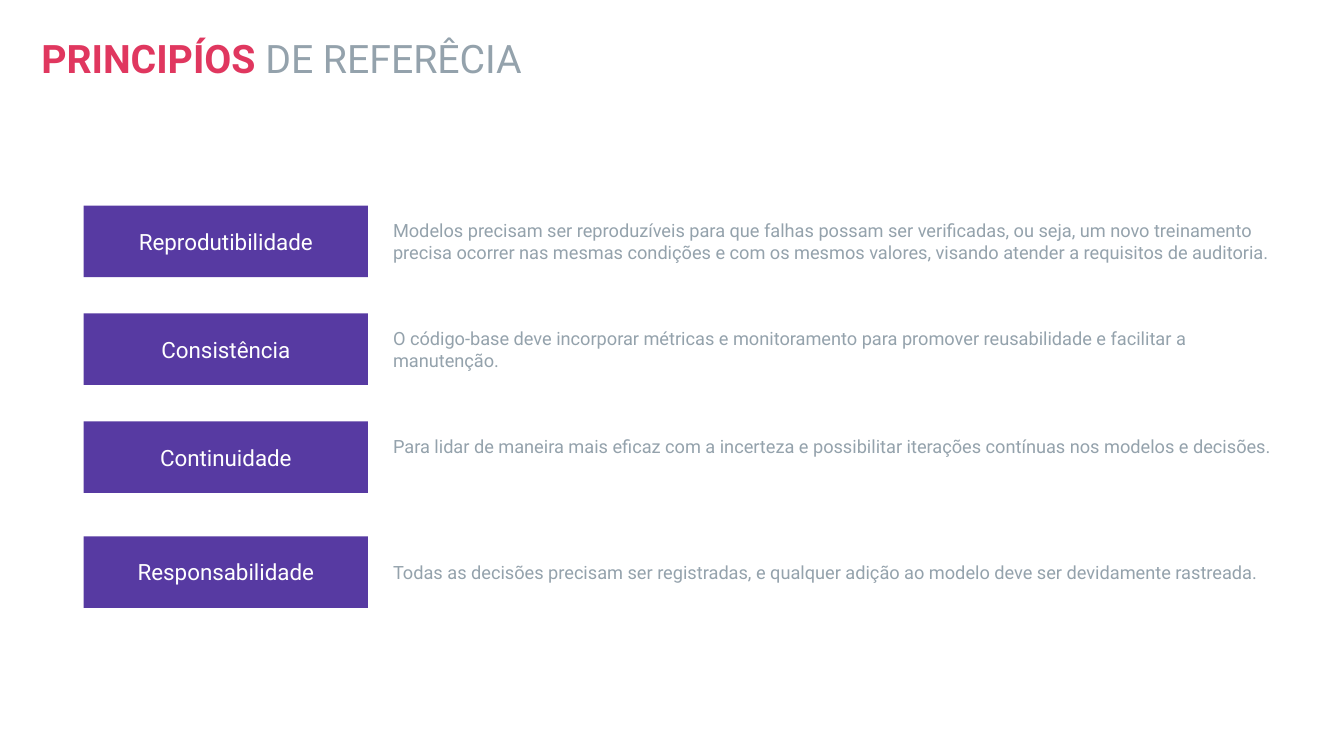
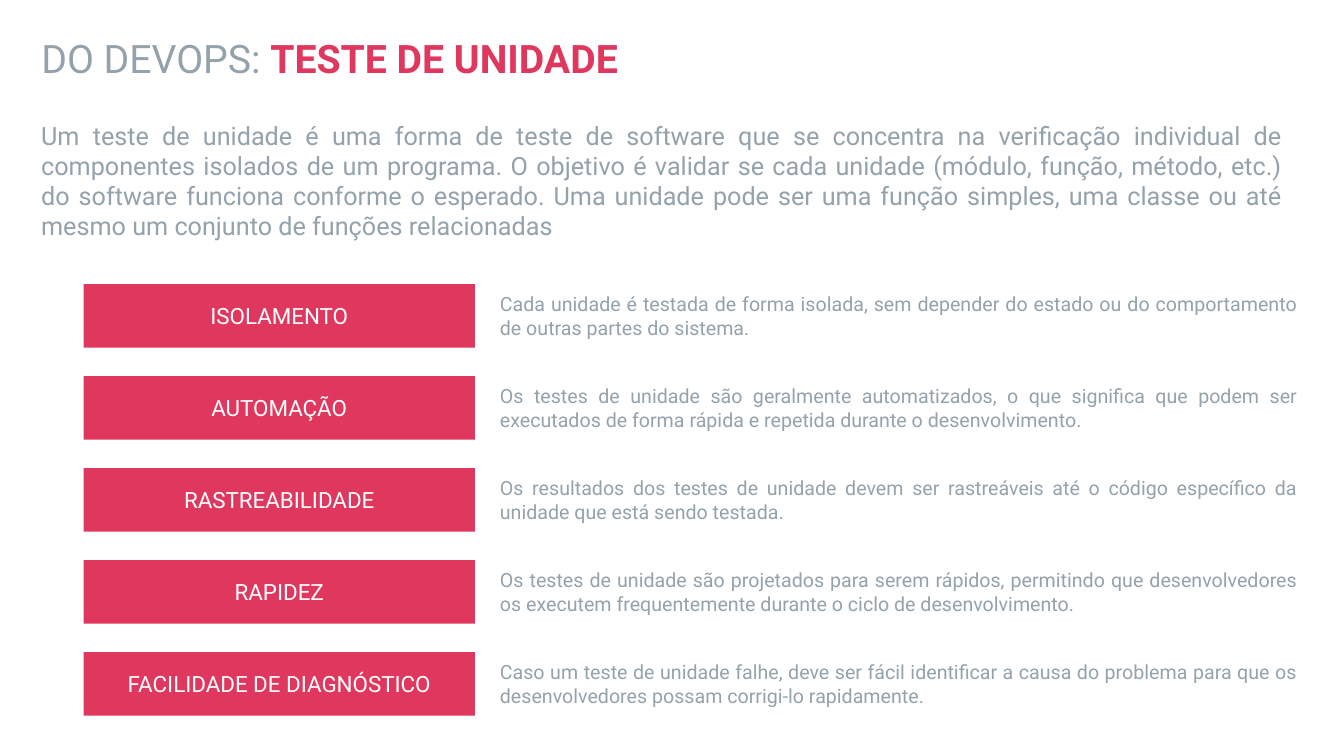
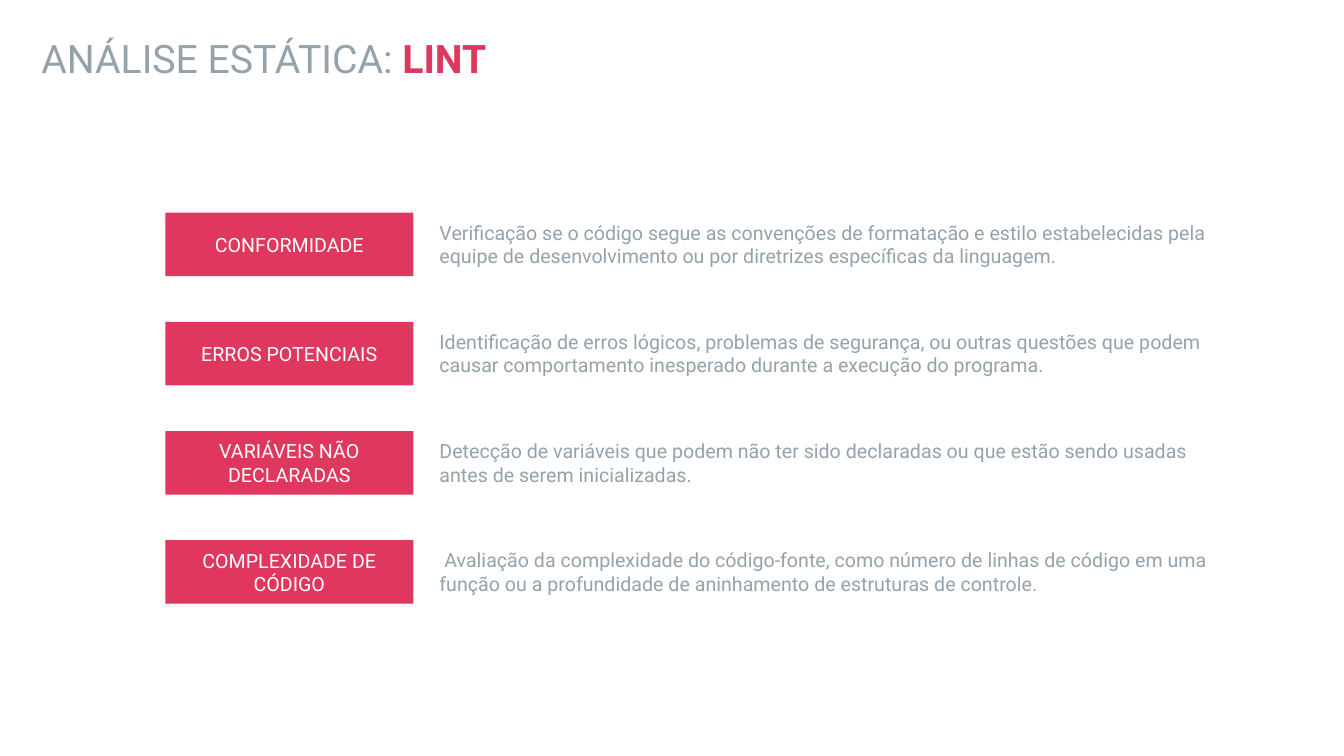
"""Build three slides on reference principles, unit testing and lint."""
from dataclasses import dataclass

from pptx import Presentation
from pptx.dml.color import RGBColor
from pptx.enum import shapes, text
from pptx.util import Inches, Pt


@dataclass(frozen=True)
class Theme:
    font: str = "Roboto"
    red: str = "E0375F"
    purple: str = "573AA2"
    gray: str = "94A2AC"
    white: str = "FFFFFF"
    title: int = 28
    intro: int = 18
    label: int = 16
    body: int = 14
    small: int = 13


theme = Theme()
LEFT, CENTER, JUSTIFY = text.PP_ALIGN.LEFT, text.PP_ALIGN.CENTER, text.PP_ALIGN.JUSTIFY


def style(span, size, color, bold=False):
    span.font.name = theme.font
    span.font.size = Pt(size)
    span.font.bold = bold
    span.font.color.rgb = RGBColor.from_string(color)


def add_text(page, words, left, top, width, height, size, align):
    box = page.shapes.add_textbox(Inches(left), Inches(top), Inches(width), Inches(height))
    frame = box.text_frame
    frame.word_wrap = True
    frame.auto_size = text.MSO_AUTO_SIZE.SHAPE_TO_FIT_TEXT
    frame.text = words
    para = frame.paragraphs[0]
    para.alignment = align
    style(para.runs[0], size, theme.gray)


slides = [
    {
        "title": [("PRINCIPÍOS ", True), ("DE REFERÊCIA", False)],
        "intro": None,
        "color": theme.purple,
        "label_box": (0.83, 2.82, 0.71),
        "label_size": theme.label,
        "tops": [2.04, 3.11, 4.18, 5.32],
        "detail_box": (3.8, 8.92),
        "detail_heights": [0.54, 0.54, 0.54, 0.32],
        "detail_size": theme.small,
        "align": LEFT,
        "rows": [
            ("Reprodutibilidade",
             "Modelos precisam ser reproduzíveis para que falhas possam ser verificadas, ou seja, "
             "um novo treinamento precisa ocorrer nas mesmas condições e com os mesmos valores, "
             "visando atender a requisitos de auditoria."),
            ("Consistência",
             "O código-base deve incorporar métricas e monitoramento para promover reusabilidade "
             "e facilitar a manutenção."),
            ("Continuidade",
             "Para lidar de maneira mais eficaz com a incerteza e possibilitar iterações contínuas "
             "nos modelos e decisões."),
            ("Responsabilidade",
             "Todas as decisões precisam ser registradas, e qualquer adição ao modelo deve ser "
             "devidamente rastreada."),
        ],
    },
    {
        "title": [("DO DEVOPS: ", False), ("TESTE DE UNIDADE", True)],
        "intro": "Um teste de unidade é uma forma de teste de software que se concentra na "
                 "verificação individual de componentes isolados de um programa. O objetivo é "
                 "validar se cada unidade (módulo, função, método, etc.) do software funciona "
                 "conforme o esperado. Uma unidade pode ser uma função simples, uma classe ou até "
                 "mesmo um conjunto de funções relacionadas",
        "color": theme.red,
        "label_box": (0.83, 3.88, 0.63),
        "label_size": theme.label,
        "tops": [2.82 + 3.65 / 4 * row for row in range(5)],
        "detail_box": (4.86, 8.11),
        "detail_heights": [0.57] * 5,
        "detail_size": theme.body,
        "align": JUSTIFY,
        "rows": [
            ("ISOLAMENTO",
             "Cada unidade é testada de forma isolada, sem depender do estado ou do comportamento "
             "de outras partes do sistema."),
            ("AUTOMAÇÃO",
             "Os testes de unidade são geralmente automatizados, o que significa que podem ser "
             "executados de forma rápida e repetida durante o desenvolvimento."),
            ("RASTREABILIDADE",
             "Os resultados dos testes de unidade devem ser rastreáveis até o código específico "
             "da unidade que está sendo testada."),
            ("RAPIDEZ",
             "Os testes de unidade são projetados para serem rápidos, permitindo que "
             "desenvolvedores os executem frequentemente durante o ciclo de desenvolvimento."),
            ("FACILIDADE DE DIAGNÓSTICO",
             "Caso um teste de unidade falhe, deve ser fácil identificar a causa do problema para "
             "que os desenvolvedores possam corrigi-lo rapidamente."),
        ],
    },
    {
        "title": [("ANÁLISE ESTÁTICA: ", False), ("LINT", True)],
        "intro": None,
        "color": theme.red,
        "label_box": (1.64, 2.46, 0.63),
        "label_size": theme.body,
        "tops": [2.11 + 3.25 / 3 * row for row in range(4)],
        "detail_box": (4.26, 7.95),
        "detail_heights": [0.57] * 4,
        "detail_size": theme.body,
        "align": LEFT,
        "rows": [
            ("CONFORMIDADE",
             "Verificação se o código segue as convenções de formatação e estilo estabelecidas "
             "pela equipe de desenvolvimento ou por diretrizes específicas da linguagem."),
            ("ERROS POTENCIAIS",
             "Identificação de erros lógicos, problemas de segurança, ou outras questões que podem "
             "causar comportamento inesperado durante a execução do programa."),
            ("VARIÁVEIS NÃO DECLARADAS",
             "Detecção de variáveis que podem não ter sido declaradas ou que estão sendo usadas "
             "antes de serem inicializadas."),
            ("COMPLEXIDADE DE CÓDIGO",
             " Avaliação da complexidade do código-fonte, como número de linhas de código em uma "
             "função ou a profundidade de aninhamento de estruturas de controle."),
        ],
    },
]

deck = Presentation()
deck.slide_width, deck.slide_height = Inches(13.33), Inches(7.5)

for content in slides:
    page = deck.slides.add_slide(deck.slide_layouts[5])
    title = page.shapes.title
    title.left, title.top = Inches(0.31), Inches(0.29)
    title.width, title.height = Inches(11.5), Inches(0.63)
    title.text_frame.auto_size = text.MSO_AUTO_SIZE.NONE
    title.text_frame.vertical_anchor = text.MSO_ANCHOR.MIDDLE
    heading = title.text_frame.paragraphs[0]
    heading.alignment = LEFT
    heading.line_spacing = 0.9
    for words, strong in content["title"]:
        span = heading.add_run()
        span.text = words
        style(span, theme.title, theme.red if strong else theme.gray, strong)

    if content["intro"]:
        add_text(page, content["intro"], 0.31, 1.14, 12.51, 1.31, theme.intro, JUSTIFY)

    left, width, height = content["label_box"]
    detail_left, detail_width = content["detail_box"]
    rows = zip(content["rows"], content["tops"], content["detail_heights"])
    for (label, detail), top, detail_height in rows:
        box = page.shapes.add_shape(shapes.MSO_SHAPE.RECTANGLE, Inches(left), Inches(top),
                                    Inches(width), Inches(height))
        box.shadow.inherit = False
        box.fill.solid()
        box.fill.fore_color.rgb = RGBColor.from_string(content["color"])
        box.line.fill.background()
        box.text_frame.word_wrap = True
        box.text_frame.vertical_anchor = text.MSO_ANCHOR.MIDDLE
        box.text_frame.text = label
        para = box.text_frame.paragraphs[0]
        para.alignment = CENTER
        style(para.runs[0], content["label_size"], theme.white)
        add_text(page, detail, detail_left, top + (height - detail_height) / 2,
                 detail_width, detail_height, content["detail_size"], content["align"])

deck.save("out.pptx")
